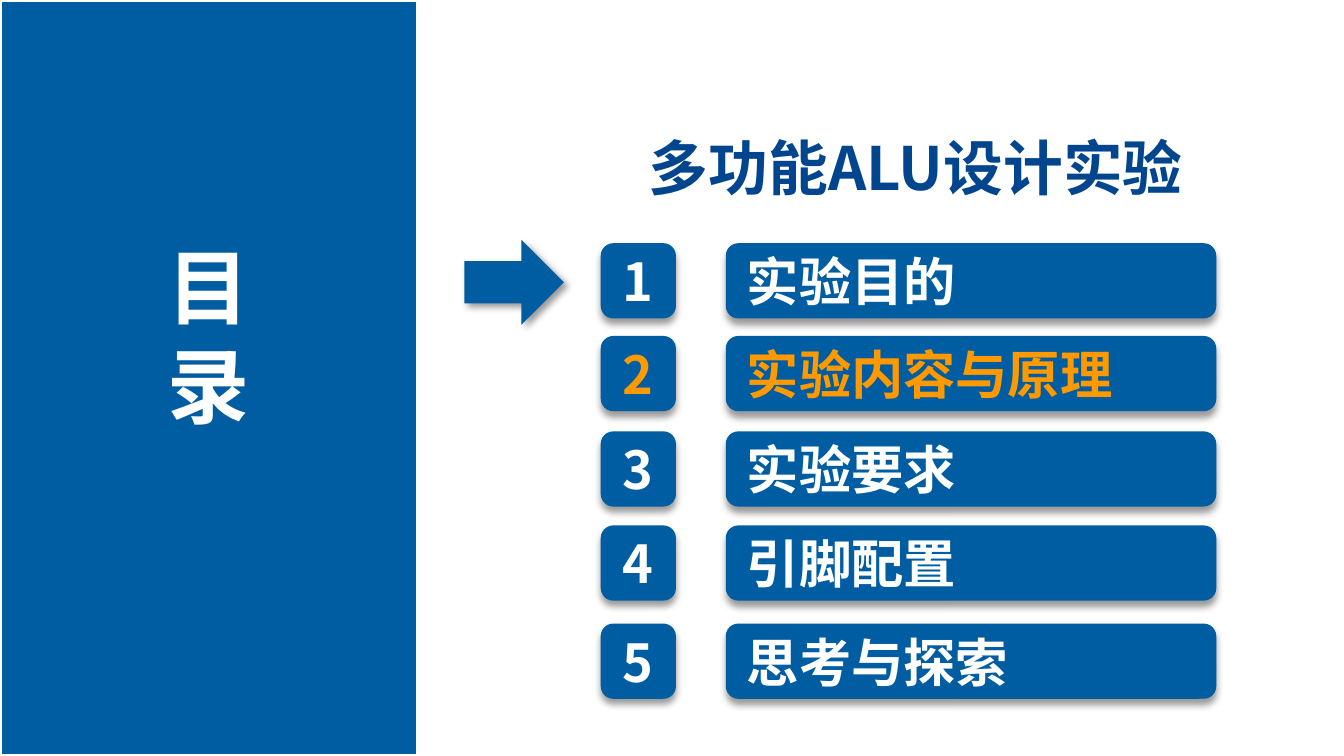
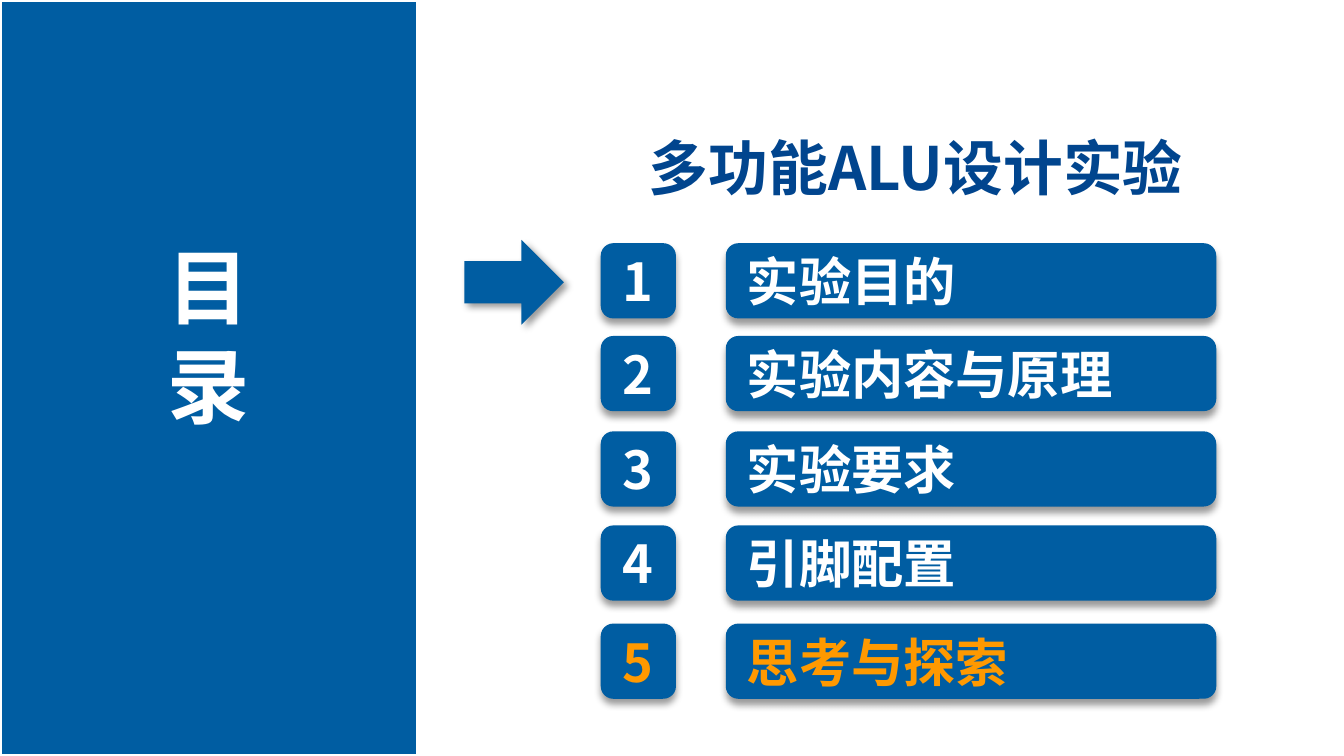
from lxml import etree
from pptx import Presentation
from pptx.dml.color import RGBColor
from pptx.enum.shapes import MSO_SHAPE as SHAPE
from pptx.enum.text import MSO_ANCHOR as ANCHOR, MSO_AUTO_SIZE as AUTO, PP_ALIGN as ALIGN
from pptx.oxml.ns import qn
from pptx.util import Inches, Pt

COLORS = {"panel": "005DA2", "title": "01458E", "text": "FFFFFF", "active": "FF9900", "shadow": "000000"}
FONT = "Noto Sans CJK SC"
WIDTH = 10
HEIGHT = WIDTH * 9 / 16
TITLE = "多功能ALU设计实验"
TOPICS = ["实验目的", "实验内容与原理", "实验要求", "引脚配置", "思考与探索"]
ROW_TOPS = [0, 0.69, 1.4, 2.1, 2.83]
ACTIVE_TOPICS = [2, 5]


def rgb(name):
    """Return a palette colour."""
    return RGBColor.from_string(COLORS[name])


def inches(*values):
    """Convert numbers to lengths."""
    return [Inches(v) for v in values]


def add_run(p, text, size, color):
    """Add a bold run in the deck font."""
    r = p.add_run()
    r.text = text
    r.font.size, r.font.bold = Pt(size), True
    r.font.color.rgb = rgb(color)
    r.font.name = FONT
    etree.SubElement(r.font._element, qn("a:ea"), typeface=FONT)


def add_block(s, kind, box):
    """Add a plain filled shape without line or shadow."""
    sp = s.shapes.add_shape(kind, *inches(*box))
    sp.shadow.inherit = False
    sp.fill.solid()
    sp.fill.fore_color.rgb = rgb("panel")
    sp.line.fill.background()
    return sp


def add_shadow(sp, angle):
    """Give a shape a soft outer shadow at an angle in degrees."""
    effects = sp._element.spPr.find(qn("a:effectLst"))
    shadow = etree.SubElement(effects, qn("a:outerShdw"), blurRad=str(Pt(4)), dist=str(Pt(3)),
                              dir=str(angle * 60000), algn="t", rotWithShape="0")
    color = etree.SubElement(shadow, qn("a:srgbClr"), val=COLORS["shadow"])
    etree.SubElement(color, qn("a:alpha"), val="40000")


def add_side_panel(s, left, top, width, height):
    """Draw the side panel with its stacked heading."""
    sp = add_block(s, SHAPE.RECTANGLE, (left, top, width, height))
    sp.line.color.rgb = rgb("text")
    sp.line.width = Pt(2)
    tf = s.shapes.add_textbox(*inches(left + 1.15, top + 1.71, 0.82, 1.58)).text_frame
    tf.word_wrap = False
    tf.auto_size = AUTO.SHAPE_TO_FIT_TEXT
    add_run(tf.paragraphs[0], "目", 44, "text")
    add_run(tf.add_paragraph(), "录", 44, "text")


def add_title(s, left, top, width, height):
    """Place and format the slide title."""
    sp = s.shapes.title
    sp.left, sp.top, sp.width, sp.height = inches(left, top, width, height)
    tf = sp.text_frame
    tf.word_wrap = True
    tf.auto_size = AUTO.SHAPE_TO_FIT_TEXT
    tf.vertical_anchor = ANCHOR.TOP
    p = tf.paragraphs[0]
    p.alignment = ALIGN.CENTER
    add_run(p, TITLE, 32, "title")


def add_arrow(s, left, top, width, height):
    """Draw the arrow that points right at the topics."""
    sp = add_block(s, SHAPE.DOWN_ARROW, (left, top, width, height))
    sp.rotation = 270
    add_shadow(sp, 45)


def add_button(s, box, text, color, align):
    """Draw a rounded button with a label."""
    sp = add_block(s, SHAPE.ROUNDED_RECTANGLE, box)
    add_shadow(sp, 90)
    tf = sp.text_frame
    tf.word_wrap = True
    tf.vertical_anchor = ANCHOR.MIDDLE
    tf.margin_left = tf.margin_right = Inches(0.13)
    tf.margin_top = tf.margin_bottom = Inches(0.07)
    p = tf.paragraphs[0]
    p.alignment = align
    add_run(p, text, 28, color)


def add_topics(s, left, top, width, active):
    """List the numbered topics and highlight the active one."""
    side, offset = 0.56, 0.93
    for number, (topic, row) in enumerate(zip(TOPICS, ROW_TOPS), 1):
        color = "active" if number == active else "text"
        y = top + row
        add_button(s, (left, y, side, side), str(number), color, ALIGN.CENTER)
        add_button(s, (left + offset, y, width - offset, side), topic, color, ALIGN.LEFT)


def add_agenda(prs, active):
    """Add an agenda slide for the active topic."""
    s = prs.slides.add_slide(prs.slide_layouts[5])
    add_side_panel(s, 0, 0, 3.11, HEIGHT)
    add_title(s, 4.06, 0.92, 5.51, 0.64)
    add_arrow(s, 3.51, 1.73, 0.63, 0.74)
    add_topics(s, 4.47, 1.81, 4.58, active)


def main():
    """Build and save the deck."""
    prs = Presentation()
    prs.slide_width, prs.slide_height = inches(WIDTH, HEIGHT)
    for active in ACTIVE_TOPICS:
        add_agenda(prs, active)
    prs.save("out.pptx")


if __name__ == "__main__":
    main()
